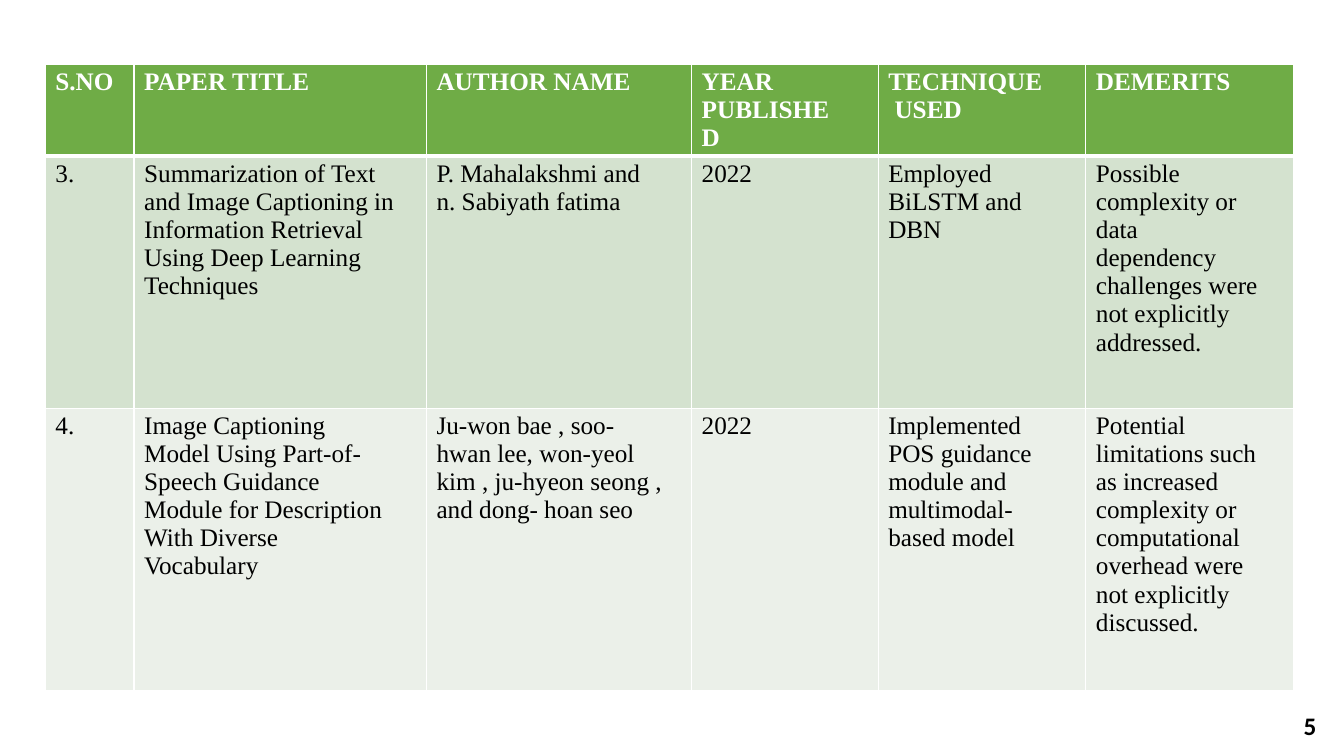
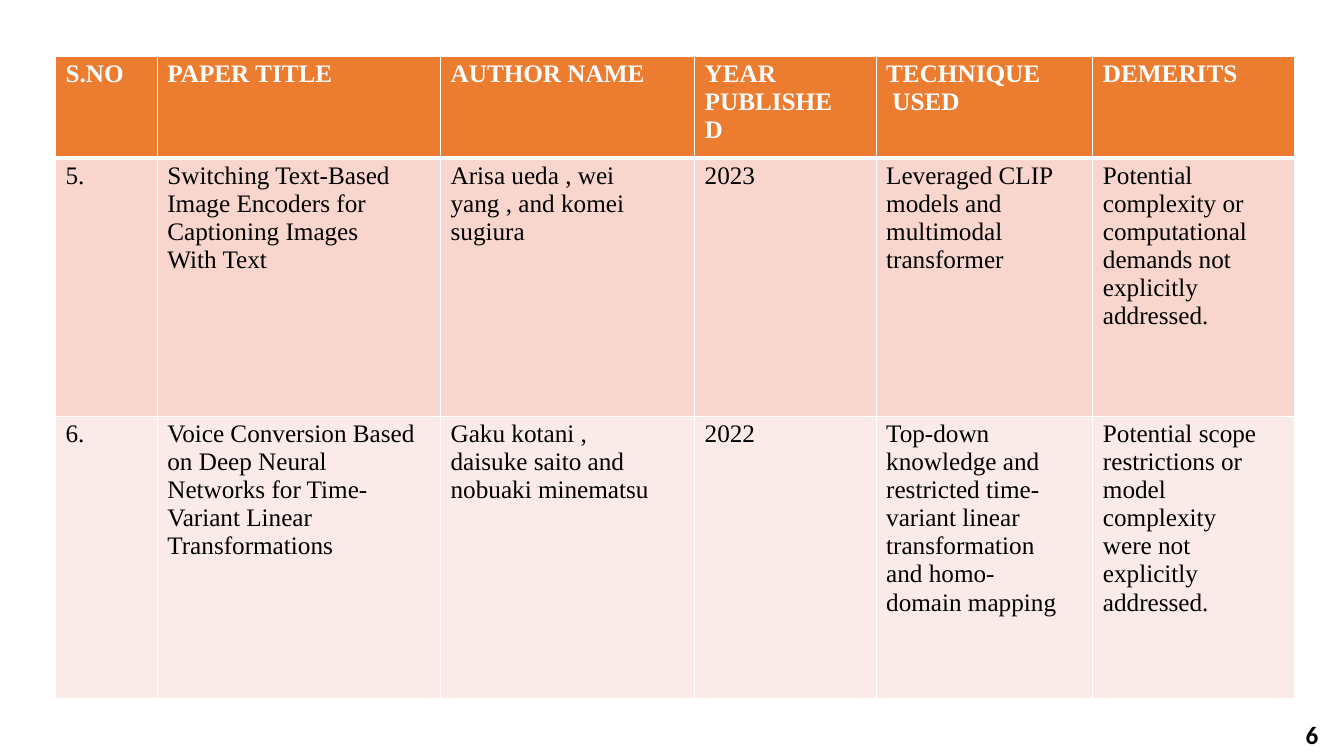
from dataclasses import dataclass

import pptx
import pptx.dml.color
import pptx.oxml
import pptx.oxml.ns
import pptx.slide
import pptx.table
import pptx.text.text
import pptx.util

Inches = pptx.util.Inches
Pt = pptx.util.Pt

COLORS = {
    "white": "FFFFFF",
    "black": "000000",
    "green": "6FAC46",
    "green_mid": "D4E2CF",
    "green_pale": "EBF0E9",
    "orange": "EC7C30",
    "orange_mid": "F8D6CD",
    "orange_pale": "FBEBE8",
}
HEADER_FONT = {"name": "Times New Roman", "size": Pt(18), "bold": True}
BODY_FONT = {**HEADER_FONT, "bold": False}
NUMBER_FONT = {**HEADER_FONT, "name": "Calibri"}
CELL_MARGINS = {
    "margin_left": Inches(0.1),
    "margin_right": Inches(0),
    "margin_top": Inches(0.03),
    "margin_bottom": Inches(0),
}
PARAGRAPH_SPACING = {"line_spacing": 1.01, "space_before": Pt(2.2)}
YEAR_COLUMN = 3
YEAR_MARGIN = Inches(0.35)
THIN, THICK = 1, 3

HEADINGS = (
    "S.NO",
    "PAPER TITLE",
    "AUTHOR NAME",
    "YEAR PUBLISHED",
    "TECHNIQUE\n USED",
    "DEMERITS",
)


@dataclass(frozen=True)
class Paper:
    number: str
    title: str
    authors: str
    year: str
    technique: str
    demerits: str

    def texts(self) -> tuple[str, ...]:
        return (self.number, self.title, self.authors,
                self.year, self.technique, self.demerits)


@dataclass(frozen=True)
class SurveyPage:
    page_number: str
    number_at: tuple[float, float]
    table_at: tuple[float, float]
    column_widths: tuple[float, ...]
    row_heights: tuple[float, ...]
    row_fills: tuple[str, ...]
    papers: tuple[Paper, ...]


PAGES = (
    SurveyPage(
        "5", (12.83, 7.0), (0.45, 0.64),
        (0.88, 2.9, 2.63, 1.85, 2.06, 2.06), (0.91, 2.5, 2.8),
        ("green", "green_mid", "green_pale"),
        (
            Paper(
                "3.",
                "Summarization of Text\nand Image Captioning in\n"
                "Information Retrieval\nUsing Deep Learning\nTechniques",
                "P. Mahalakshmi and\nn. Sabiyath fatima",
                "2022",
                "Employed\nBiLSTM and\nDBN",
                "Possible\ncomplexity or\ndata\ndependency\n"
                "challenges were\nnot explicitly\naddressed.",
            ),
            Paper(
                "4.",
                "Image Captioning\nModel Using Part-of-\nSpeech Guidance\n"
                "Module for Description\nWith Diverse\nVocabulary",
                "Ju-won bae , soo-\nhwan lee, won-yeol\n"
                "kim , ju-hyeon seong ,\nand dong- hoan seo",
                "2022",
                "Implemented\nPOS guidance\nmodule and\nmultimodal-\nbased model",
                "Potential\nlimitations such\nas increased\ncomplexity or\n"
                "computational\noverhead were\nnot explicitly\ndiscussed.",
            ),
        ),
    ),
    SurveyPage(
        "6", (12.85, 7.09), (0.55, 0.56),
        (1.01, 2.81, 2.52, 1.8, 2.15, 2.0), (1.01, 2.56, 2.8),
        ("orange", "orange_mid", "orange_pale"),
        (
            Paper(
                "5.",
                "Switching Text-Based\nImage Encoders for\n"
                "Captioning Images\nWith Text",
                "Arisa ueda , wei\nyang , and komei\nsugiura",
                "2023",
                "Leveraged CLIP\nmodels and\nmultimodal\ntransformer",
                "Potential\ncomplexity or\ncomputational\ndemands not\n"
                "explicitly\naddressed.",
            ),
            Paper(
                "6.",
                "Voice Conversion Based\non Deep Neural\n"
                "Networks for Time-\nVariant Linear\nTransformations",
                "Gaku kotani ,\ndaisuke saito and\nnobuaki minematsu",
                "2022",
                "Top-down\nknowledge and\nrestricted time-\nvariant linear\n"
                "transformation\nand homo-\ndomain mapping",
                "Potential scope\nrestrictions or\nmodel\ncomplexity\n"
                "were not\nexplicitly\naddressed.",
            ),
        ),
    ),
)


def rgb(color: str) -> pptx.dml.color.RGBColor:
    return pptx.dml.color.RGBColor.from_string(COLORS[color])


def apply_format(target: object, values: dict) -> None:
    for attribute, value in values.items():
        setattr(target, attribute, value)


def write_lines(paragraph: pptx.text.text._Paragraph, text: str,
                font: dict, color: str) -> None:
    """Write the text as one paragraph, with a line break at each newline."""
    for index, line in enumerate(text.split("\n")):
        if index:
            paragraph.add_line_break()
        run = paragraph.add_run()
        run.text = line
        apply_format(run.font, font)
        run.font.color.rgb = rgb(color)


def set_borders(cell: pptx.table._Cell, top: int, bottom: int) -> None:
    """Draw white borders; widths are in points."""
    properties = cell._tc.get_or_add_tcPr()
    widths = {"lnL": THIN, "lnR": THIN, "lnT": top, "lnB": bottom}
    for index, (side, width) in enumerate(widths.items()):
        properties.insert(index, pptx.oxml.parse_xml(
            f'<a:{side} {pptx.oxml.ns.nsdecls("a")} w="{Pt(width)}">'
            f'<a:solidFill><a:srgbClr val="{COLORS["white"]}"/></a:solidFill>'
            f'</a:{side}>'))


def add_survey_table(slide: pptx.slide.Slide, page: SurveyPage) -> None:
    rows = (HEADINGS, *(paper.texts() for paper in page.papers))
    left, top = page.table_at
    table = slide.shapes.add_table(
        len(rows), len(HEADINGS), Inches(left), Inches(top),
        Inches(sum(page.column_widths)), Inches(sum(page.row_heights))).table
    for column, width in zip(table.columns, page.column_widths):
        column.width = Inches(width)
    for row, height in zip(table.rows, page.row_heights):
        row.height = Inches(height)

    for row_index, texts in enumerate(rows):
        is_header = row_index == 0
        for column_index, text in enumerate(texts):
            cell = table.cell(row_index, column_index)
            apply_format(cell, CELL_MARGINS)
            if column_index == YEAR_COLUMN:
                cell.margin_right = YEAR_MARGIN
            cell.fill.solid()
            cell.fill.fore_color.rgb = rgb(page.row_fills[row_index])
            set_borders(cell, THICK if row_index == 1 else THIN,
                        THICK if is_header else THIN)
            paragraph = cell.text_frame.paragraphs[0]
            apply_format(paragraph, PARAGRAPH_SPACING)
            write_lines(paragraph, text,
                        HEADER_FONT if is_header else BODY_FONT,
                        "white" if is_header else "black")


def add_page_number(slide: pptx.slide.Slide, page: SurveyPage) -> None:
    left, top = page.number_at
    number = slide.shapes.add_textbox(
        Inches(left), Inches(top), Inches(0.42), Inches(0.4))
    number.text_frame.word_wrap = True
    write_lines(number.text_frame.paragraphs[0], page.page_number,
                NUMBER_FONT, "black")


def main() -> None:
    deck = pptx.Presentation()
    deck.slide_width, deck.slide_height = Inches(13.33), Inches(7.5)
    blank_layout = deck.slide_layouts[6]
    for page in PAGES:
        slide = deck.slides.add_slide(blank_layout)
        add_survey_table(slide, page)
        add_page_number(slide, page)
    deck.save("out.pptx")


if __name__ == "__main__":
    main()
